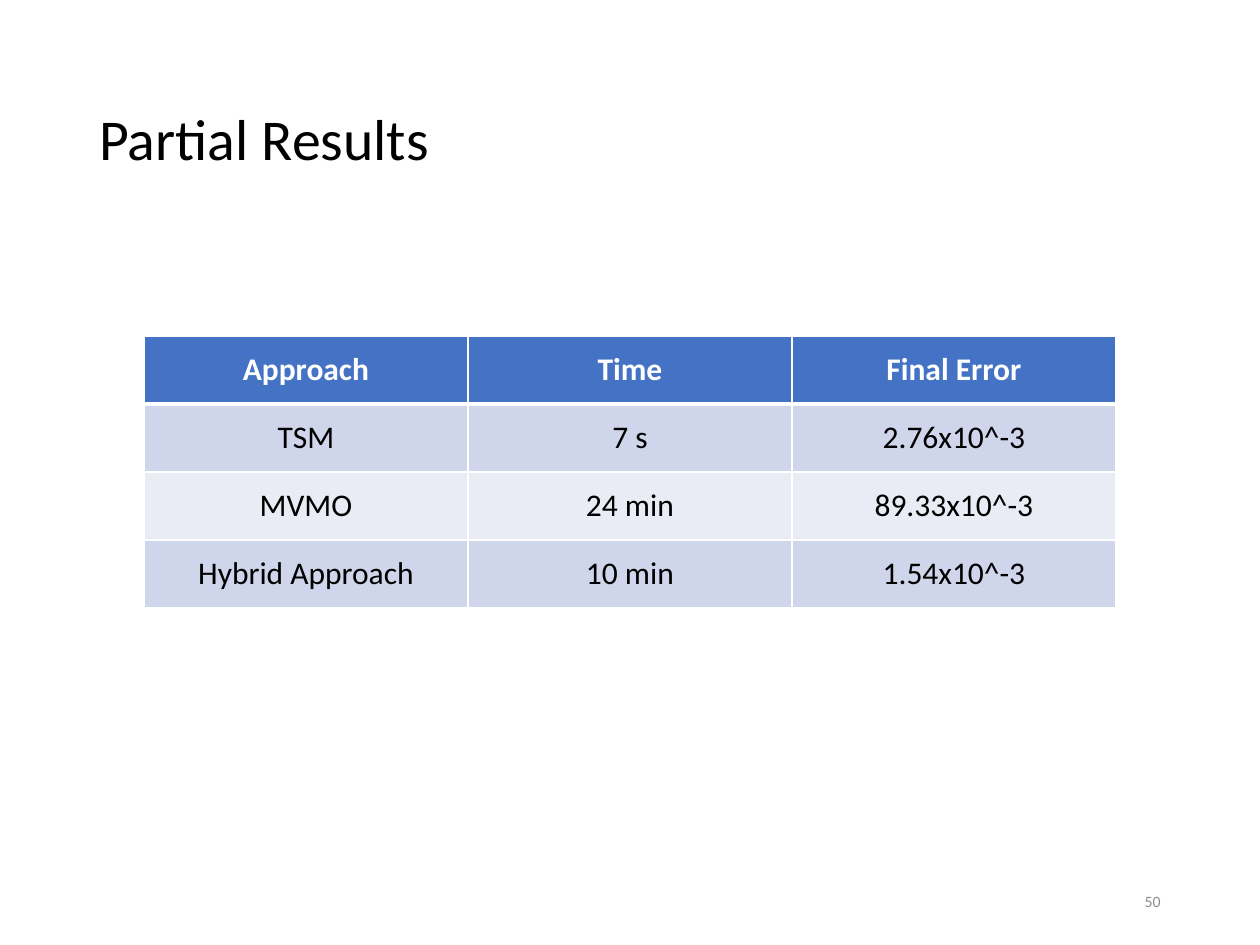
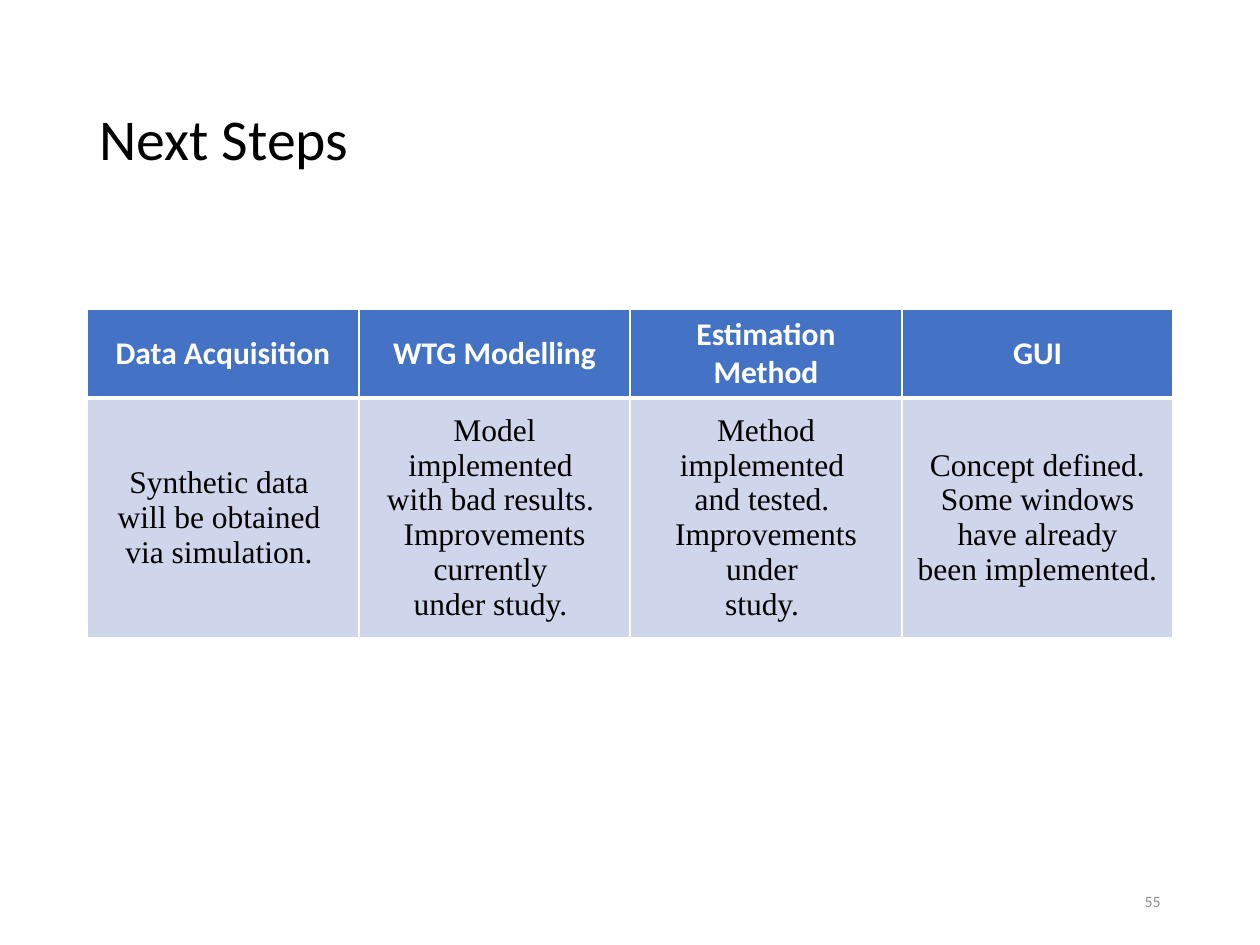
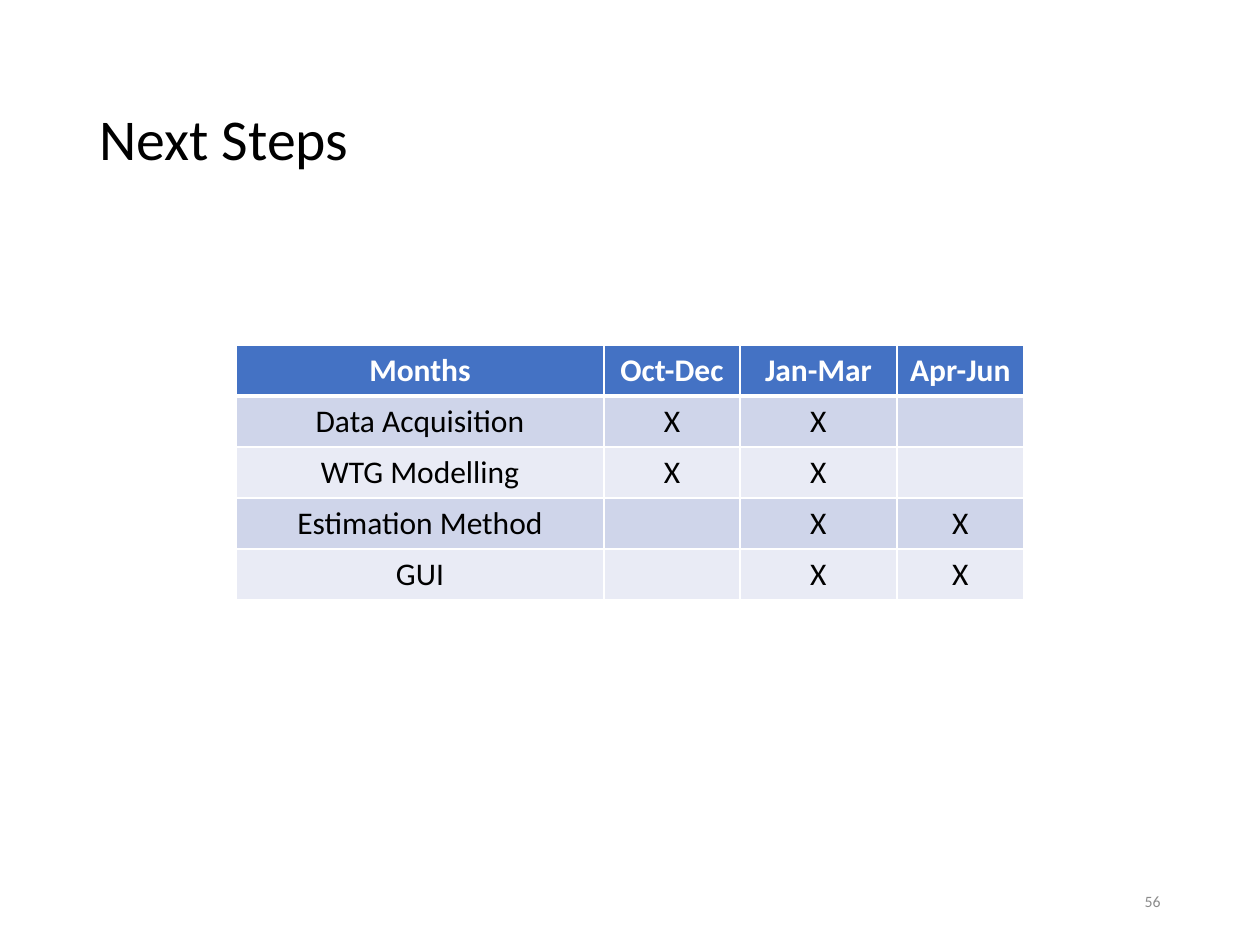
from lxml.etree import SubElement
from pptx import Presentation
from pptx.dml.color import RGBColor
from pptx.enum.text import MSO_ANCHOR as Anchor, PP_ALIGN as Align
from pptx.oxml.ns import qn
from pptx.util import Emu, Pt

PX = 914400 / 126
COLORS = {
    "ink": "000000",
    "paper": "FFFFFF",
    "header": "4472C4",
    "band_dark": "CFD5EA",
    "band_light": "E9EBF5",
    "number": "8C8C8C",
}
SANS = "Calibri"
SERIF = "Times New Roman"
TITLE_BOX = (87, 50, 1086, 183)
NUMBER_BOX = (890, 876, 283, 50)


def px(length):
    return Emu(round(length * PX))


def rgb(name):
    return RGBColor.from_string(COLORS[name])


def write(frame, text, size=18, font=SANS, color="ink", bold=False,
          align=Align.LEFT, spacing=None):
    para = frame.paragraphs[0]
    para.alignment = align
    para.line_spacing = spacing
    para.font.size = Pt(size)
    for index, line in enumerate(text.split("\n")):
        if index:
            para.add_line_break()
        span = para.add_run()
        span.text = line
        span.font.size = Pt(size)
        span.font.name = font
        span.font.bold = bold
        span.font.color.rgb = rgb(color)


def add_text(page, box, text, **style):
    frame = page.shapes.add_textbox(*map(px, box)).text_frame
    frame.word_wrap = True
    frame.vertical_anchor = Anchor.MIDDLE
    write(frame, text, **style)


def set_borders(cell, top, bottom):
    properties = cell._tc.get_or_add_tcPr()
    for side, weight in {"L": 1, "R": 1, "T": top, "B": bottom}.items():
        line = SubElement(properties, qn(f"a:ln{side}"), w=str(Pt(weight)))
        fill = SubElement(line, qn("a:solidFill"))
        SubElement(fill, qn("a:srgbClr"), val=COLORS["paper"])


def add_grid(page, left, top, widths, heights, rows, body_font=SANS):
    box = (left, top, sum(widths), sum(heights))
    table = page.shapes.add_table(len(rows), len(widths), *map(px, box)).table
    table.horz_banding = False
    for column, width in zip(table.columns, widths):
        column.width = px(width)
    for index, (row, height, texts) in enumerate(zip(table.rows, heights, rows)):
        row.height = px(height)
        is_header = index == 0
        band = "header" if is_header else "band_dark" if index % 2 else "band_light"
        for cell, text in zip(row.cells, texts):
            set_borders(cell, 3 if index == 1 else 1, 3 if is_header else 1)
            cell.fill.solid()
            cell.fill.fore_color.rgb = rgb(band)
            cell.vertical_anchor = Anchor.MIDDLE
            write(cell.text_frame, text, align=Align.CENTER, bold=is_header,
                  font=SANS if is_header else body_font,
                  color="paper" if is_header else "ink")


def add_page(deck, title, number):
    page = deck.slides.add_slide(deck.slide_layouts[6])
    add_text(page, TITLE_BOX, title, size=33, spacing=0.9)
    add_text(page, NUMBER_BOX, str(number), size=9, color="number", align=Align.RIGHT)
    return page


def add_results(deck):
    page = add_page(deck, "Partial Results", 50)
    add_grid(page, 144, 336, [324] * 3, [68] * 4, [
        ("Approach", "Time", "Final Error"),
        ("TSM", "7 s", "2.76x10^-3"),
        ("MVMO", "24 min", "89.33x10^-3"),
        ("Hybrid Approach", "10 min", "1.54x10^-3"),
    ])


def add_status(deck):
    page = add_page(deck, "Next Steps", 55)
    add_grid(page, 87, 309, [272, 271, 272, 271], [89, 222], [
        ("Data Acquisition", "WTG Modelling", "Estimation Method", "GUI"),
        ("Synthetic data \nwill be obtained \nvia simulation. ",
         "Model implemented \nwith bad results. \nImprovements currently \nunder study. ",
         "Method implemented \nand tested. \nImprovements under \nstudy. ",
         "Concept defined.\nSome windows\nhave already\nbeen implemented."),
    ], body_font=SERIF)


def add_schedule(deck):
    page = add_page(deck, "Next Steps", 56)
    add_grid(page, 236, 345, [368, 136, 157, 127], [51] * 5, [
        ("Months", "Oct-Dec", "Jan-Mar", "Apr-Jun"),
        ("Data Acquisition", "X", "X", ""),
        ("WTG Modelling", "X", "X", ""),
        ("Estimation Method", "", "X", "X"),
        ("GUI", "", "X", "X"),
    ])


def main():
    deck = Presentation()
    deck.slide_width = px(1260)
    deck.slide_height = px(945)
    add_results(deck)
    add_status(deck)
    add_schedule(deck)
    deck.save("out.pptx")


if __name__ == "__main__":
    main()
